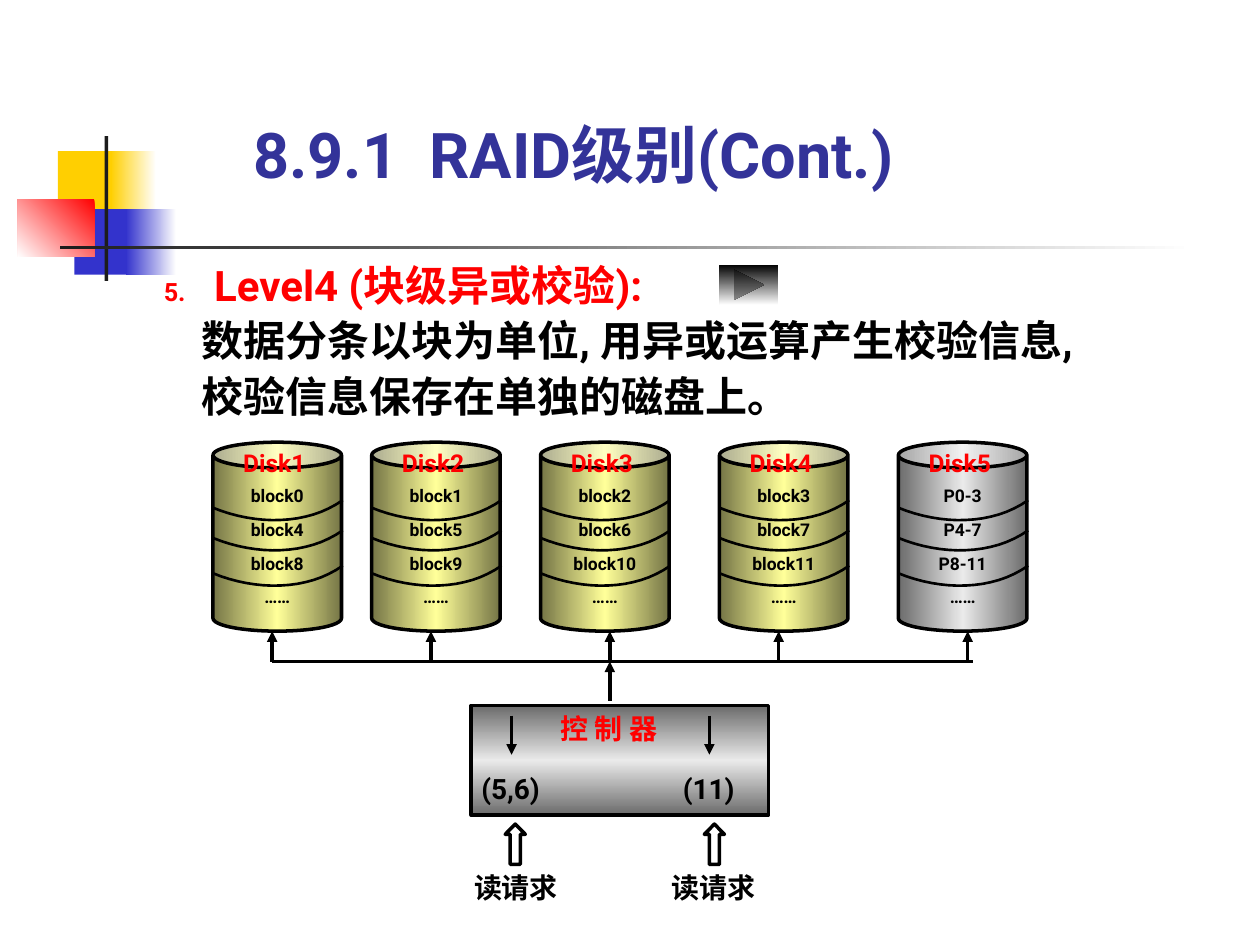
from lxml.etree import SubElement
from pptx import Presentation
from pptx.dml.color import RGBColor
from pptx.enum.shapes import MSO_CONNECTOR, MSO_SHAPE
from pptx.enum.text import MSO_ANCHOR, PP_ALIGN
from pptx.oxml.ns import qn
from pptx.util import Inches, Pt

COLORS = {
    "black": "000000", "ink": "1C1C1C", "white": "FFFFFF", "red": "FF0000",
    "yellow": "FFCF01", "blue": "3333CC", "title": "333399",
    "olive": "757546", "cream": "FFFF99", "gray": "6B6B6B", "silver": "EAEAEA",
}
COLS, ROWS = 100, 75
WIDTH, HEIGHT = Inches(10), Inches(7.5)
FONT = "Roboto"

DISK_W, DISK_H, DISK_TOP = 10.2, 15, 35.1
DATA, PARITY = ("olive", "cream", "olive"), ("gray", "silver", "gray")
# left column, arrow column, blocks, gradient
DISKS = [
    (16.9, 21.6, ["block0", "block4", "block8"], DATA),
    (29.5, 34.2, ["block1", "block5", "block9"], DATA),
    (42.9, 48.4, ["block2", "block6", "block10"], DATA),
    (57.1, 61.8, ["block3", "block7", "block11"], DATA),
    (71.3, 76.8, ["P0-3", "P4-7", "P8-11"], PARITY),
]
BAND_ROWS = (0, 2.4, 5.2)
BAND_CURVE = [(0, 5.2), (3.4, 6.6), (7.5, 6.6), (10.3, 4.6)]
BUS_ROW = 52.5


def x(col):
    return round(WIDTH * col / COLS)


def y(row):
    return round(HEIGHT * row / ROWS)


def rgb(name):
    return RGBColor.from_string(COLORS[name])


def add_gradient(s, names, angle):
    s.fill.background()
    old = s.element.spPr.find(qn("a:noFill"))
    grad = SubElement(s.element.spPr, qn("a:gradFill"), rotWithShape="1")
    old.getparent().replace(old, grad)
    stops = SubElement(grad, qn("a:gsLst"))
    for i, name in enumerate(names):
        gs = SubElement(stops, qn("a:gs"), pos=str(100000 * i // (len(names) - 1)))
        SubElement(gs, qn("a:srgbClr"), val=COLORS[name])
    SubElement(grad, qn("a:lin"), ang=str(angle * 60000), scaled="0")


def add_block(sp, kind, col, row, w, h, fill=None, angle=180, line=None):
    s = sp.add_shape(kind, x(col), y(row), x(w), y(h))
    s.shadow.inherit = False
    if isinstance(fill, tuple):
        add_gradient(s, fill, angle)
    elif fill:
        s.fill.solid()
        s.fill.fore_color.rgb = rgb(fill)
    else:
        s.fill.background()
    if line:
        s.line.color.rgb = rgb(line)
        s.line.width = Pt(2)
    else:
        s.line.fill.background()
    return s


def add_line(sp, start, end, head=None):
    s = sp.add_connector(MSO_CONNECTOR.STRAIGHT, x(start[0]), y(start[1]), x(end[0]), y(end[1]))
    s.line.color.rgb = rgb("black")
    s.line.width = Pt(2)
    if head:
        SubElement(s.line._get_or_add_ln(), qn("a:tailEnd"), type=head)
    SubElement(s.element.spPr, qn("a:effectLst"))


def set_text(p, text, size=16, color="black", align=PP_ALIGN.LEFT, spacing=None):
    p.alignment = align
    if spacing:
        p.line_spacing = spacing
    r = p.add_run()
    r.text = text
    r.font.name, r.font.size, r.font.bold = FONT, Pt(size), True
    r.font.color.rgb = rgb(color)


def add_box(sp, col, row, w, h, anchor=MSO_ANCHOR.TOP):
    tf = sp.add_textbox(x(col), y(row), x(w), y(h)).text_frame
    tf.margin_left = tf.margin_right = tf.margin_top = tf.margin_bottom = 0
    tf.word_wrap = True
    tf.vertical_anchor = anchor
    return tf


def add_label(sp, text, col, row, w, h=2.7, **style):
    set_text(add_box(sp, col, row, w, h).paragraphs[0], text, **style)


def add_decor(sp):
    rect = MSO_SHAPE.RECTANGLE
    for col, row, w, h, fill, angle in [
        (4.6, 12, 4.8, 5.2, "yellow", 0),
        (8.8, 12, 3.6, 5.2, ("white", "yellow"), 180),
        (5.9, 16.6, 4.6, 5.2, "blue", 0),
        (10, 16.6, 4, 5.2, ("white", "blue"), 180),
        (1.4, 15.8, 6.1, 4.6, ("red", "white"), 135),
        (8.3, 10.8, 0.3, 11.5, "ink", 0),
        (4.8, 19.5, 90, 0.3, ("white", "ink"), 180),
    ]:
        add_block(sp, rect, col, row, w, h, fill, angle)


def add_title(sp):
    p = add_box(sp, 20.1, 9.2, 57.7, 6, MSO_ANCHOR.BOTTOM).paragraphs[0]
    tabs = SubElement(p._p.get_or_add_pPr(), qn("a:tabLst"))
    SubElement(tabs, qn("a:tab"), pos=str(x(14)), algn="l")
    set_text(p, "8.9.1\tRAID级别(Cont.)", size=36, color="title")


def add_body(sp):
    tf = add_box(sp, 13, 20.2, 77.2, 13.2)
    p = tf.paragraphs[0]
    pPr = p._p.get_or_add_pPr()
    pPr.set("marL", str(x(4)))
    pPr.set("indent", str(-x(4)))
    SubElement(SubElement(pPr, qn("a:buClr")), qn("a:srgbClr"), val=COLORS["red"])
    SubElement(pPr, qn("a:buSzPct"), val="60000")
    SubElement(pPr, qn("a:buFont"), typeface=FONT)
    SubElement(pPr, qn("a:buAutoNum"), type="arabicPeriod", startAt="5")
    set_text(p, "Level4 (块级异或校验):", size=24, color="red", spacing=1.1)
    for text in ("数据分条以块为单位, 用异或运算产生校验信息,", "校验信息保存在单独的磁盘上。"):
        p = tf.add_paragraph()
        p._p.get_or_add_pPr().set("marL", str(x(3)))
        set_text(p, text, size=24, spacing=1.1)


def curve_points(ctrl, steps=16):
    for t in (i / steps for i in range(steps + 1)):
        weights = ((1 - t) ** 3, 3 * t * (1 - t) ** 2, 3 * t * t * (1 - t), t ** 3)
        yield tuple(sum(k * c[axis] for k, c in zip(weights, ctrl)) for axis in (0, 1))


def add_band(sp, left, top):
    pts = [(x(left + dx), y(top + dy)) for dx, dy in curve_points(BAND_CURVE)]
    fb = sp.build_freeform(*pts[0])
    fb.add_line_segments(pts[1:], close=False)
    s = fb.convert_to_shape()
    s.shadow.inherit = False
    s.fill.background()
    s.line.color.rgb = rgb("black")
    s.line.width = Pt(1.5)


def add_disk(sp, name, left, blocks, fill):
    s = add_block(sp, MSO_SHAPE.CAN, left, DISK_TOP, DISK_W, DISK_H, fill, line="black")
    s.adjustments[0] = 0.2
    tf = s.text_frame
    tf.word_wrap = False
    tf.vertical_anchor = MSO_ANCHOR.MIDDLE
    tf.margin_top, tf.margin_bottom = 0, y(0.5)
    for i, text in enumerate(blocks + ["……"]):
        p = tf.add_paragraph() if i else tf.paragraphs[0]
        set_text(p, text, size=10, align=PP_ALIGN.CENTER, spacing=1.6)
    add_label(sp, name, left + 2.4, 35.6, 5.5, 2.3, size=14, color="red")
    for offset in BAND_ROWS:
        add_band(sp, left, DISK_TOP + offset)


def add_controller(sp):
    add_block(sp, MSO_SHAPE.RECTANGLE, 37.4, 56, 23.6, 8.7, PARITY, 90, "black")
    add_label(sp, "控 制 器", 44.5, 56.5, 8.7, color="red")
    add_label(sp, "(5,6)", 38.2, 61.2, 6.3)
    add_label(sp, "(11)", 53.1, 61.2, 6.3, align=PP_ALIGN.CENTER)
    for inner, request, label in ((40.6, 40.1, 37.4), (56.3, 55.9, 53.1)):
        add_line(sp, (inner, 56.8), (inner, 59.9), head="triangle")
        s = add_block(sp, MSO_SHAPE.UP_ARROW, request, 65.4, 1.6, 3.2, line="black")
        s.adjustments[1] = 0.51
        add_label(sp, "读请求", label, 69.1, 7.1, align=PP_ALIGN.CENTER)


def main():
    prs = Presentation()
    prs.slide_width, prs.slide_height = WIDTH, HEIGHT
    sp = prs.slides.add_slide(prs.slide_layouts[6]).shapes
    add_decor(sp)
    add_title(sp)
    add_body(sp)
    for i, (left, arrow, blocks, fill) in enumerate(DISKS, 1):
        add_disk(sp, f"Disk{i}", left, blocks, fill)
        add_line(sp, (arrow, BUS_ROW), (arrow, DISK_TOP + DISK_H), head="triangle")
    add_line(sp, (21.6, BUS_ROW), (77.2, BUS_ROW))
    add_line(sp, (48.4, 55.6), (48.4, BUS_ROW), head="triangle")
    add_controller(sp)
    add_block(sp, MSO_SHAPE.ACTION_BUTTON_FORWARD_OR_NEXT, 57.1, 21, 4.7, 3.2, ("black", "white"), 90)
    prs.save("out.pptx")


if __name__ == "__main__":
    main()
